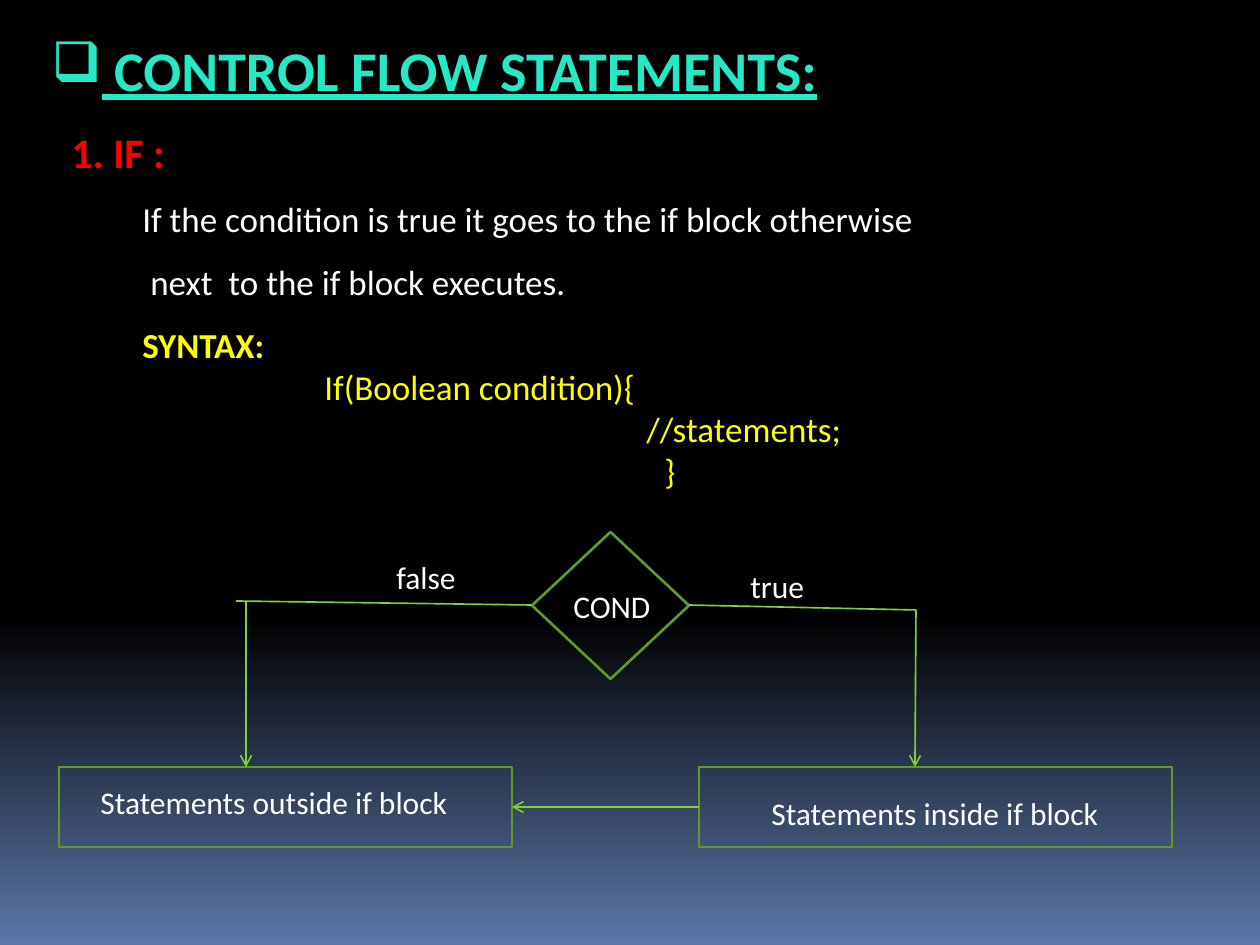
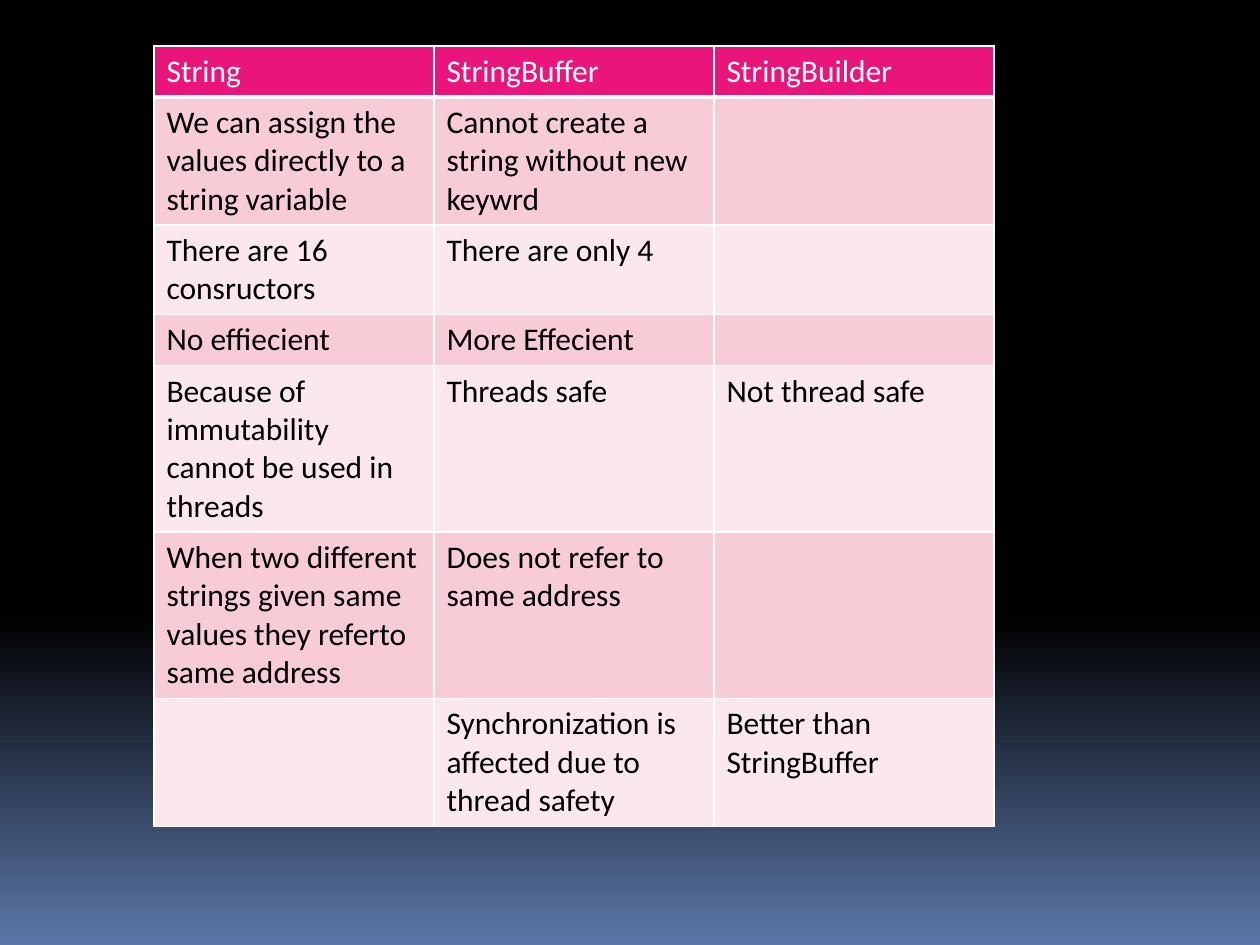
import copy
import lxml.etree
import pptx
import pptx.dml.color
import pptx.enum.shapes
import pptx.enum.text
import pptx.oxml.ns
import pptx.util

FONT = "Calibri"
WHITE = "FFFFFF"
YELLOW = "FFFF00"
BOX_GREEN = "5E9B2C"
ARROW_GREEN = "7FD13B"
qn = pptx.oxml.ns.qn


def px(length):
    return pptx.util.Emu(round(length * 914400 / 126))


def style(paragraph, size, color, bold=False):
    for run in paragraph.runs:
        run.font.name = FONT
        run.font.size = pptx.util.Pt(size)
        run.font.bold = bold
        run.font.color.rgb = pptx.dml.color.RGBColor.from_string(color)


deck = pptx.Presentation()
deck.slide_width = px(1260)
deck.slide_height = px(945)

night_sky = deck.slide_master.background.fill
night_sky.gradient()
night_sky.gradient_angle = 270
first_stop = deck.slide_master.element.xpath("./p:cSld/p:bg//a:gs")[0]
first_stop.addnext(copy.deepcopy(first_stop))
for stop, (position, color) in zip(
        night_sky.gradient_stops, [(0, "000000"), (0.65, "000000"), (1, "5B77A8")]):
    stop.position = position
    stop.color.rgb = pptx.dml.color.RGBColor.from_string(color)

control_flow = deck.slides.add_slide(deck.slide_layouts[5])
title = control_flow.shapes.title
title.left, title.top, title.width, title.height = px(39), px(29), px(868), px(81)
title.text_frame.text = " CONTROL FLOW STATEMENTS:"
title.text_frame.auto_size = pptx.enum.text.MSO_AUTO_SIZE.NONE
title.text_frame.vertical_anchor = pptx.enum.text.MSO_ANCHOR.TOP
heading = title.text_frame.paragraphs[0]
heading.alignment = pptx.enum.text.PP_ALIGN.LEFT
style(heading, 32, "26E8C5", True)
heading.runs[0].font.underline = True
heading_props = heading._p.get_or_add_pPr()
heading_props.set("marL", str(px(47)))
heading_props.set("indent", str(-px(47)))
lxml.etree.SubElement(heading_props, qn("a:buChar")).set("char", "❑")

explanation = control_flow.shapes.add_textbox(px(59), px(120), px(1131), px(496)).text_frame
explanation.word_wrap = True
lines = [
    ("1. IF :", 0, 24, "FF0000", True, 1),
    ("If the condition is true it goes to the if block otherwise", 71, 20, WHITE, False, 1.5),
    ("next  to the if block executes.", 79, 20, WHITE, False, 1.5),
    ("SYNTAX:", 71, 20, YELLOW, True, 1.5),
    ("If(Boolean condition){", 253, 20, YELLOW, False, 1),
    ("//statements;", 575, 20, YELLOW, False, 1),
    ("}", 593, 20, YELLOW, False, 1),
]
explanation.text = "\n".join(line[0] for line in lines)
for paragraph, (text, indent, size, color, bold, spacing) in zip(explanation.paragraphs, lines):
    style(paragraph, size, color, bold)
    paragraph.line_spacing = spacing
    paragraph._p.get_or_add_pPr().set("marL", str(px(indent)))

RECTANGLE = pptx.enum.shapes.MSO_SHAPE.RECTANGLE
DIAMOND = pptx.enum.shapes.MSO_SHAPE.DIAMOND
for outline, left, top, width, height in [
    (RECTANGLE, 59, 767, 453, 80),
    (RECTANGLE, 699, 767, 473, 80),
    (DIAMOND, 532, 532, 157, 147),
]:
    step = control_flow.shapes.add_shape(outline, px(left), px(top), px(width), px(height))
    step.shadow.inherit = False
    step.fill.background()
    step.line.width = pptx.util.Pt(1.5)
    step.line.color.rgb = pptx.dml.color.RGBColor.from_string(BOX_GREEN)

for start_x, start_y, end_x, end_y, has_arrow in [
    (689, 605, 916, 610, False),
    (916, 610, 915, 767, True),
    (699, 807, 512, 807, True),
    (532, 605, 236, 601, False),
    (246, 601, 246, 767, True),
]:
    branch = control_flow.shapes.add_connector(
        pptx.enum.shapes.MSO_CONNECTOR.STRAIGHT,
        px(start_x), px(start_y), px(end_x), px(end_y))
    branch.line.width = pptx.util.Pt(0.94)
    branch.line.color.rgb = pptx.dml.color.RGBColor.from_string(ARROW_GREEN)
    if has_arrow:
        lxml.etree.SubElement(branch.line._get_or_add_ln(), qn("a:tailEnd")).set("type", "arrow")
    lxml.etree.SubElement(branch._element.spPr, qn("a:effectLst"))

for text, left, top, width in [
    ("COND", 561, 581, 111),
    ("true", 738, 561, 79),
    ("false", 384, 552, 87),
    ("Statements inside if block", 759, 788, 364),
    ("Statements outside if block", 88, 777, 384),
]:
    caption = control_flow.shapes.add_textbox(px(left), px(top), px(width), px(50)).text_frame
    caption.word_wrap = False
    caption.text = text
    style(caption.paragraphs[0], 18, WHITE)

comparison = deck.slides.add_slide(deck.slide_layouts[6])
rows = [
    ("String", "StringBuffer", "StringBuilder"),
    ("We can assign the values directly to a string variable",
     "Cannot create a string without new keywrd", ""),
    ("There are 16 consructors", "There are only 4", ""),
    ("No effiecient", "More Effecient", ""),
    ("Because of immutability cannot be used in threads", "Threads safe", "Not thread safe"),
    ("When two different strings given same values they referto same address",
     "Does not refer to same address", ""),
    ("", "Synchronization is affected due to thread safety", "Better than StringBuffer"),
]
string_classes = comparison.shapes.add_table(
    len(rows), 3, px(154), px(46), px(840), px(51 * len(rows))).table
for row_index, row in enumerate(rows):
    is_header = row_index == 0
    band = "EA157A" if is_header else ("FBE8EC", "F7CCD7")[row_index % 2]
    for column_index, text in enumerate(row):
        cell = string_classes.cell(row_index, column_index)
        cell.text = text
        style(cell.text_frame.paragraphs[0], 18, WHITE if is_header else "000000")
        cell_props = cell._tc.get_or_add_tcPr()
        for side in ("lnL", "lnR", "lnT", "lnB"):
            weight = 3 if is_header and side == "lnB" else 1
            border = lxml.etree.SubElement(cell_props, qn("a:" + side))
            border.set("w", str(pptx.util.Pt(weight)))
            border_fill = lxml.etree.SubElement(border, qn("a:solidFill"))
            lxml.etree.SubElement(border_fill, qn("a:srgbClr")).set("val", WHITE)
        cell.fill.solid()
        cell.fill.fore_color.rgb = pptx.dml.color.RGBColor.from_string(band)

deck.save("out.pptx")
